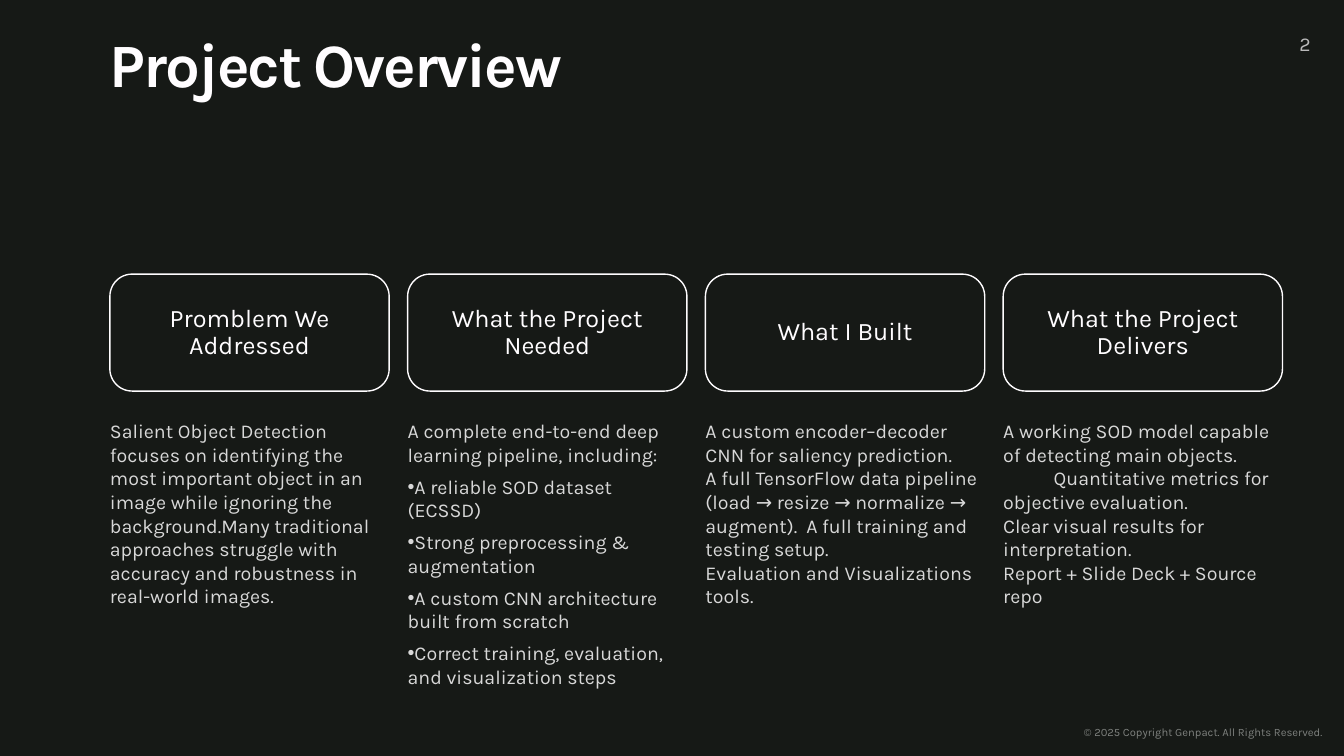
"""Build the project overview slide: four headed columns on a dark page."""
from dataclasses import dataclass
from typing import Any

from lxml import etree
from pptx import Presentation
from pptx import util as u
from pptx.dml.color import RGBColor
from pptx.enum import shapes, text
from pptx.oxml.ns import qn

FONT = "Karla"
WHITE, BODY, MUTED, FOOTER, BACKGROUND = "FFFDFF", "D8D8D8", "BABABA", "E6E9E6", "161916"
LEFT, LAST_LEFT, COLUMN_WIDTH = 1.09, 9.95, 2.77


@dataclass
class Column:
    heading: str
    intro: str
    bullets: tuple[str, ...] = ()
    tab: float = 0


COLUMNS = [
    Column(
        "Promblem We Addressed",
        "Salient Object Detection focuses on identifying the most important object in an "
        "image while ignoring the background.Many traditional approaches struggle with "
        "accuracy and robustness in real-world images.",
    ),
    Column(
        "What the Project Needed",
        "A complete end-to-end deep learning pipeline, including:",
        (
            "A reliable SOD dataset (ECSSD)",
            "Strong preprocessing & augmentation",
            "A custom CNN architecture built from scratch",
            "Correct training, evaluation, and visualization steps",
        ),
    ),
    Column(
        "What I Built",
        "A custom encoder–decoder CNN for saliency prediction.\v"
        "A full TensorFlow data pipeline (load → resize → normalize → augment).\t"
        "A full training and testing setup.\vEvaluation and Visualizations tools.",
        tab=2.48,
    ),
    Column(
        "What the Project Delivers",
        "A working SOD model capable of detecting main objects.\v"
        "\tQuantitative metrics for objective evaluation.\v"
        "Clear visual results for interpretation.\vReport + Slide Deck + Source repo",
        tab=0.41,
    ),
]


def colour(value: str) -> RGBColor:
    """Turn a hex string into a colour."""
    return RGBColor.from_string(value)


def apply(target: Any, values: dict[str, Any]) -> None:
    """Set every attribute named in the format values."""
    for name, value in values.items():
        setattr(target, name, value)


def place(box: Any, left: float, top: float, width: float, height: float) -> None:
    """Move and size a box given in inches."""
    lengths = {"left": left, "top": top, "width": width, "height": height}
    apply(box, {name: u.Inches(value) for name, value in lengths.items()})


def prepare(box: Any, anchor: Any = text.MSO_ANCHOR.TOP) -> Any:
    """Clear the margins of a box and return its text frame."""
    frame = box.text_frame
    margins = dict.fromkeys(("margin_left", "margin_top", "margin_right", "margin_bottom"), 0)
    apply(frame, margins | {
        "word_wrap": True, "auto_size": text.MSO_AUTO_SIZE.NONE, "vertical_anchor": anchor,
    })
    return frame


def write(para: Any, words: str, size: float, hue: str, bold: bool = False,
          align: Any = text.PP_ALIGN.LEFT, **spacing: Any) -> None:
    """Fill one paragraph with formatted words."""
    para.text = words
    apply(para, {"alignment": align, "space_before": u.Pt(0)} | spacing)
    for span in para.runs:
        apply(span.font, {"name": FONT, "size": u.Pt(size), "bold": bold})
        span.font.color.rgb = colour(hue)


def set_marker(para: Any, bullet: bool, tab: float) -> None:
    """Give a paragraph its bullet and tab stop, without indents."""
    props = para._p.get_or_add_pPr()
    apply_indents = {"marL": "0", "indent": "0"}
    props.attrib.update(apply_indents)
    if bullet:
        etree.SubElement(props, qn("a:buChar"), char="•")
    else:
        etree.SubElement(props, qn("a:buNone"))
    if tab:
        stops = etree.SubElement(props, qn("a:tabLst"))
        etree.SubElement(stops, qn("a:tab"), pos=str(u.Inches(tab)), algn="l")


def add_heading(page: Any, words: str, left: float) -> None:
    """Draw the rounded outline that heads a column."""
    box = page.shapes.add_shape(shapes.MSO_SHAPE.ROUNDED_RECTANGLE, 0, 0, 0, 0)
    place(box, left, 2.72, COLUMN_WIDTH, 1.16)
    box.adjustments[0] = 0.19
    box.shadow.inherit = False
    box.fill.background()
    box.line.color.rgb = colour(WHITE)
    box.line.width = u.Pt(1)
    frame = prepare(box, text.MSO_ANCHOR.MIDDLE)
    write(frame.paragraphs[0], words, 18, WHITE, align=text.PP_ALIGN.CENTER, line_spacing=0.9)


def fill_body(box: Any, column: Column, left: float) -> None:
    """Write a column's intro and bullets into its placeholder."""
    place(box, left, 4.16, COLUMN_WIDTH, 1.8)
    frame = prepare(box)
    for index, words in enumerate((column.intro, *column.bullets)):
        para = frame.add_paragraph() if index else frame.paragraphs[0]
        set_marker(para, index > 0, column.tab)
        write(para, words, 14, BODY, space_after=u.Pt(6))


def add_label(page: Any, words: str, at: tuple[float, float, float, float], size: float,
              hue: str, align: Any, anchor: Any) -> Any:
    """Add a small one-line text and return its paragraph."""
    box = page.shapes.add_textbox(0, 0, 0, 0)
    place(box, *at)
    para = prepare(box, anchor).paragraphs[0]
    write(para, words, size, hue, align=align)
    return para


def main() -> None:
    """Build and save the deck."""
    deck = Presentation()
    deck.slide_width, deck.slide_height = u.Inches(13.33), u.Inches(7.5)
    page = deck.slides.add_slide(deck.slide_layouts.get_by_name("Comparison"))
    page.background.fill.solid()
    page.background.fill.fore_color.rgb = colour(BACKGROUND)

    title, *bodies = page.placeholders
    place(title, LEFT, 0.4, 11.64, 0.59)
    title_para = prepare(title).paragraphs[0]
    write(title_para, "Project Overview", 44, WHITE, bold=True, line_spacing=0.8)
    title_para.runs[0].font._element.set("spc", "-150")

    pitch = (LAST_LEFT - LEFT) / (len(COLUMNS) - 1)
    for index, (column, body) in enumerate(zip(COLUMNS, bodies)):
        left = LEFT + index * pitch
        add_heading(page, column.heading, left)
        fill_body(body, column, left)

    add_label(page, "2", (12.43, 0.32, 0.57, 0.24), 14, MUTED,
              text.PP_ALIGN.RIGHT, text.MSO_ANCHOR.TOP)
    footer = add_label(page, "© 2025 Copyright Genpact. All Rights Reserved.",
                       (10.75, 6.96, 2.39, 0.37), 8, FOOTER,
                       text.PP_ALIGN.LEFT, text.MSO_ANCHOR.BOTTOM)
    for shade in footer._p.iter(qn("a:srgbClr")):
        etree.SubElement(shade, qn("a:alpha"), val="50000")

    deck.save("out.pptx")


if __name__ == "__main__":
    main()
